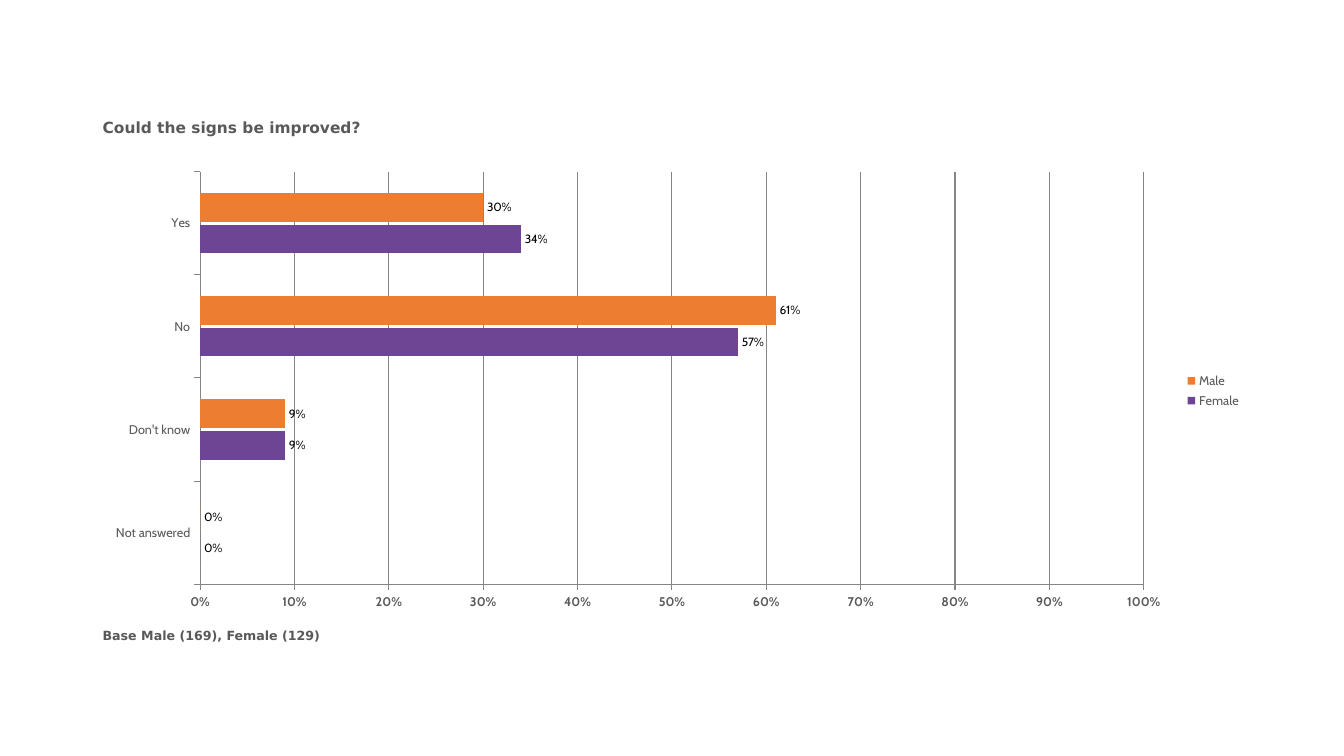
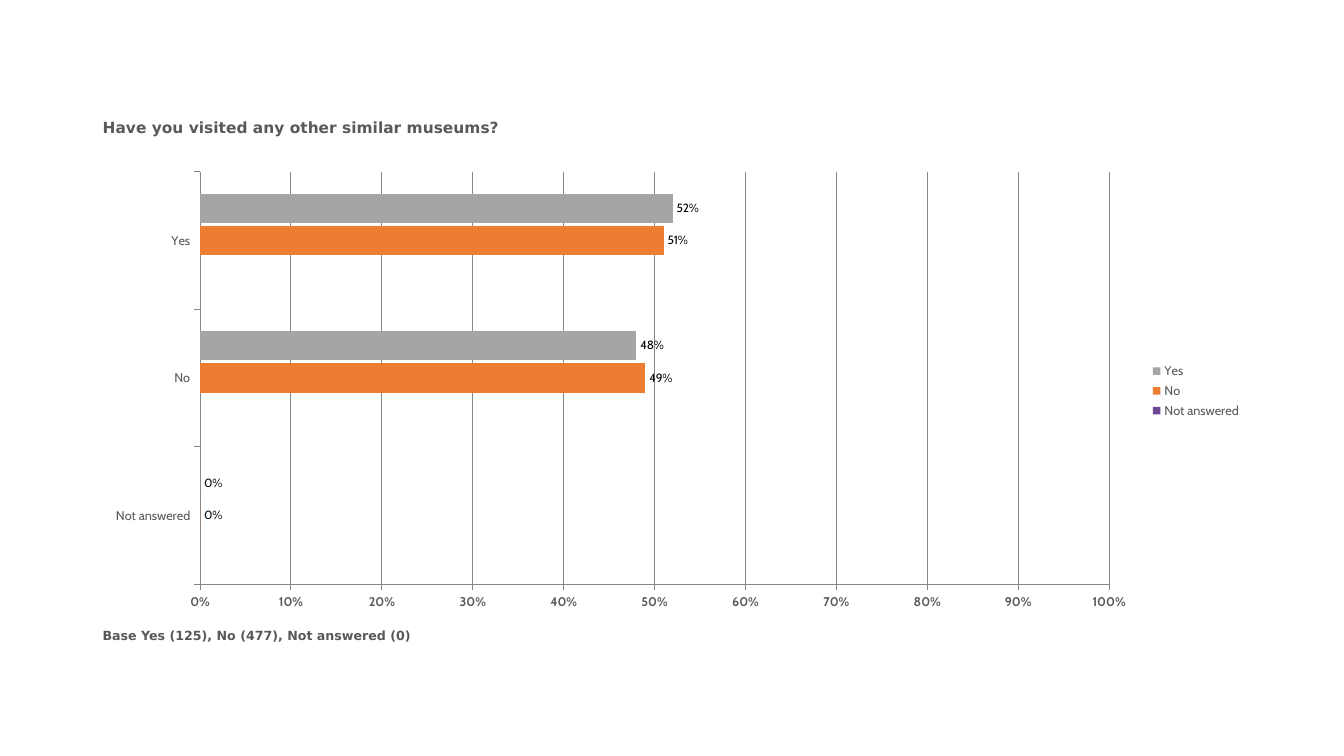
from pptx import Presentation
from pptx.chart.data import CategoryChartData
from pptx.dml.color import RGBColor
from pptx.enum.chart import (XL_CHART_TYPE, XL_LABEL_POSITION, XL_LEGEND_POSITION,
                             XL_TICK_LABEL_POSITION, XL_TICK_MARK)
from pptx.util import Inches, Pt

BAR_CLUSTERED = XL_CHART_TYPE.BAR_CLUSTERED
OUTSIDE_END = XL_LABEL_POSITION.OUTSIDE_END
LEGEND_RIGHT = XL_LEGEND_POSITION.RIGHT
LABELS_LOW = XL_TICK_LABEL_POSITION.LOW
TICK_OUTSIDE = XL_TICK_MARK.OUTSIDE
TICK_NONE = XL_TICK_MARK.NONE

BLACK = RGBColor(0x00, 0x00, 0x00)
TEXT_GREY = RGBColor(0x59, 0x59, 0x59)
LINE_GREY = RGBColor(0x86, 0x86, 0x86)
PURPLE = RGBColor(0x6E, 0x45, 0x95)
ORANGE = RGBColor(0xED, 0x7D, 0x31)
SILVER = RGBColor(0xA5, 0xA5, 0xA5)

HEADING_FONT = "DejaVu Sans"
CHART_FONT = "Cabin"
BASE_FONT = "Calibri"
PERCENT = "0%"

SLIDE_WIDTH = Inches(13.33)
SLIDE_HEIGHT = Inches(7.5)
MARGIN = 6.9
TITLE_BAND = (15, 6.8)
CHART_BAND = (21.5, 60.4)
BASE_BAND = (82.4, 5.7)

SURVEY_SLIDES = [
    {
        "title": "Could the signs be improved?",
        "base": "Base Male (169), Female (129)",
        "answers": ["Not answered", "Don't know", "No", "Yes"],
        "series": [
            ("Female", [0, 0.09, 0.57, 0.34], PURPLE),
            ("Male", [0, 0.09, 0.61, 0.3], ORANGE),
        ],
    },
    {
        "title": "Have you visited any other similar museums?",
        "base": "Base Yes (125), No (477), Not answered (0)",
        "answers": ["Not answered", "No", "Yes"],
        "series": [
            ("Not answered", [None, None, None], PURPLE),
            ("No", [0, 0.49, 0.51], ORANGE),
            ("Yes", [0, 0.48, 0.52], SILVER),
        ],
    },
]


def band_box(band):
    top, height = band
    return (int(SLIDE_WIDTH * MARGIN / 100), int(SLIDE_HEIGHT * top / 100),
            int(SLIDE_WIDTH * (100 - 2 * MARGIN) / 100), int(SLIDE_HEIGHT * height / 100))


def set_font(font, name, size, color, bold=False):
    font.name = name
    font.size = Pt(size)
    font.bold = bold
    font.color.rgb = color


def add_heading(slide, text, band, size):
    frame = slide.shapes.add_textbox(*band_box(band)).text_frame
    frame.word_wrap = True
    run = frame.paragraphs[0].add_run()
    run.text = text
    set_font(run.font, HEADING_FONT, size, TEXT_GREY, bold=True)


def style_line(line):
    line.color.rgb = LINE_GREY
    line.width = Pt(0.75)


def style_axis(axis, bold=False):
    axis.tick_label_position = LABELS_LOW
    axis.major_tick_mark = TICK_OUTSIDE
    axis.minor_tick_mark = TICK_NONE
    style_line(axis.format.line)
    set_font(axis.tick_labels.font, CHART_FONT, 9, TEXT_GREY, bold)


def style_value_axis(axis):
    style_axis(axis, bold=True)
    axis.minimum_scale = 0
    axis.maximum_scale = 1
    axis.major_unit = 0.1
    axis.has_major_gridlines = True
    style_line(axis.major_gridlines.format.line)
    axis.tick_labels.number_format = PERCENT
    axis.tick_labels.number_format_is_linked = False


def style_series(series, color):
    series.invert_if_negative = False
    series.format.fill.solid()
    series.format.fill.fore_color.rgb = color
    labels = series.data_labels
    labels.show_value = True
    labels.position = OUTSIDE_END
    labels.number_format = PERCENT
    labels.number_format_is_linked = False
    set_font(labels.font, CHART_FONT, 8.5, BLACK)


def add_bar_chart(slide, answers, series_rows):
    data = CategoryChartData(number_format=PERCENT)
    data.categories = answers
    for name, values, _ in series_rows:
        data.add_series(name, values)
    chart = slide.shapes.add_chart(BAR_CLUSTERED, *band_box(CHART_BAND), data).chart
    set_font(chart.font, BASE_FONT, 18, BLACK)
    chart.has_title = False
    chart.has_legend = True
    chart.legend.position = LEGEND_RIGHT
    chart.legend.include_in_layout = False
    set_font(chart.legend.font, CHART_FONT, 9, TEXT_GREY)
    style_axis(chart.category_axis)
    style_value_axis(chart.value_axis)
    plot = chart.plots[0]
    plot.gap_width = 150
    plot.overlap = -10
    plot.vary_by_categories = False
    for series, (_, _, color) in zip(plot.series, series_rows):
        style_series(series, color)


def main():
    presentation = Presentation()
    presentation.slide_width = SLIDE_WIDTH
    presentation.slide_height = SLIDE_HEIGHT
    blank_layout = presentation.slide_layouts[6]
    for survey in SURVEY_SLIDES:
        slide = presentation.slides.add_slide(blank_layout)
        add_heading(slide, survey["title"], TITLE_BAND, 11)
        add_heading(slide, survey["base"], BASE_BAND, 9)
        add_bar_chart(slide, survey["answers"], survey["series"])
    presentation.save("out.pptx")


if __name__ == "__main__":
    main()
